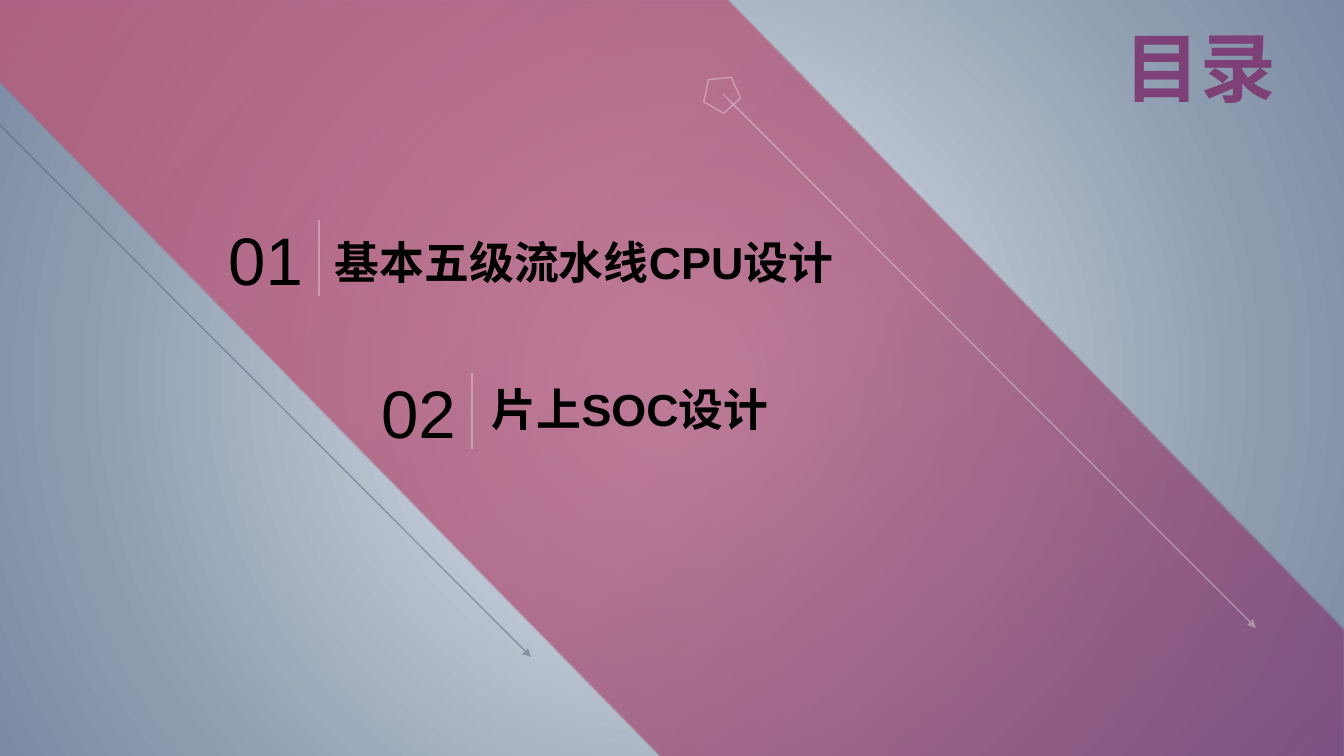
from lxml.etree import SubElement
from pptx import Presentation
from pptx.dml.color import RGBColor
from pptx.enum.shapes import MSO_CONNECTOR, MSO_SHAPE
from pptx.enum.text import MSO_ANCHOR, PP_ALIGN
from pptx.oxml import parse_xml
from pptx.oxml.ns import nsdecls, qn

# Content: stops are (position %, colour, opacity %), boxes are (left, top, width, height) in px
W, H = 1344, 756
BACKDROP = [(0, "E4E9EF", 100), (78, "8C9BAE", 100), (100, "7B8BA4", 100)]
BAND = [(0, "7D4178", 77), (45, "AB4A70", 68), (100, "C54F71", 68)]
BAND_POINTS = [(0, 0), (727, 0), (W, 630), (W, H), (660, H), (0, 83)]
TITLE = ("目录", (1072, 15, 256, 102))
ITEMS = [
    ("01", (190, 213, 151, 92), "基本五级流水线CPU设计", (325, 230, 564, 64)),
    ("02", (343, 366, 151, 92), "片上SOC设计", (482, 377, 564, 64)),
]
DIVIDER_DX, DIVIDER_DY, DIVIDER_H = 129, 7, 76
ARROWS = [((723, 94), (1256, 628), "FFFFFF", 32), ((0, 125), (531, 657), "536275", 50)]
PENTAGON = (704, 75, 37, 35)
TITLE_FONT = {"size": 54, "bold": True, "color": "7D4178"}
NUMBER_FONT = {"size": 48, "bold": False, "color": "000000"}
ITEM_FONT = {"size": 32, "bold": True, "color": "000000"}

PX = 914400 / 100.8


def emu(*lengths):
    return [round(v * PX) for v in lengths]


def rgb(value):
    return RGBColor.from_string(value)


def radial(stops, focus):
    """Circular gradient spreading from a focus given as edge insets in %."""
    gs = "".join(
        f'<a:gs pos="{pos * 1000}"><a:srgbClr val="{color}">'
        f'<a:alpha val="{alpha * 1000}"/></a:srgbClr></a:gs>'
        for pos, color, alpha in stops)
    inset = " ".join(f'{side}="{v * 1000}"' for side, v in zip("ltrb", focus))
    return parse_xml(
        f'<a:gradFill {nsdecls("a")} rotWithShape="1"><a:gsLst>{gs}</a:gsLst>'
        f'<a:path path="circle"><a:fillToRect {inset}/></a:path></a:gradFill>')


def set_gradient(fill, parent, gradient):
    fill.solid()
    fill.fore_color.rgb = rgb("FFFFFF")
    parent.replace(parent.find(qn("a:solidFill")), gradient)


def style_line(sp, color, alpha, arrow=False):
    sp.line.color.rgb = rgb(color)
    sp.line.width = 12700
    spPr = sp.element.spPr
    ln = spPr.find(qn("a:ln"))
    SubElement(ln.find(".//" + qn("a:srgbClr")), qn("a:alpha"), val=str(alpha * 1000))
    if arrow:
        SubElement(ln, qn("a:tailEnd"), type="triangle")


def add_line(s, start, end, color, alpha, arrow=False):
    line = s.shapes.add_connector(MSO_CONNECTOR.STRAIGHT, *emu(*start, *end))
    style_line(line, color, alpha, arrow)
    SubElement(line.element.spPr, qn("a:effectLst"))


def add_text(s, text, box, font, align):
    tf = s.shapes.add_textbox(*emu(*box)).text_frame
    tf.word_wrap = True
    tf.vertical_anchor = MSO_ANCHOR.MIDDLE
    p = tf.paragraphs[0]
    p.alignment = align
    r = p.add_run()
    r.text = text
    r.font.color.rgb = rgb(font["color"])
    for name, value in {"name": "Arial", "size": font["size"] * 12700,
                        "bold": font["bold"]}.items():
        setattr(r.font, name, value)


prs = Presentation()
prs.slide_width, prs.slide_height = emu(W, H)
s = prs.slides.add_slide(prs.slide_layouts[6])

# Backdrop
fill = s.background.fill
fill.solid()
set_gradient(fill, s.element.find(".//" + qn("p:bgPr")), radial(BACKDROP, (50, 50, 50, 50)))

# Diagonal band
builder = s.shapes.build_freeform(*BAND_POINTS[0], scale=PX)
builder.add_line_segments(BAND_POINTS[1:], close=True)
band = builder.convert_to_shape()
band.shadow.inherit = False
band.line.fill.background()
set_gradient(band.fill, band.element.spPr, radial(BAND, (100, 100, 0, 0)))

# Title
add_text(s, *TITLE, TITLE_FONT, PP_ALIGN.CENTER)

# Diagonal arrows and pentagon
for start, end, color, alpha in ARROWS:
    add_line(s, start, end, color, alpha, arrow=True)
pentagon = s.shapes.add_shape(MSO_SHAPE.REGULAR_PENTAGON, *emu(*PENTAGON))
pentagon.rotation = 30
pentagon.shadow.inherit = False
pentagon.fill.background()
style_line(pentagon, "FFFFFF", 32)

# Agenda items: number, divider, heading
for number, number_box, heading, heading_box in ITEMS:
    add_text(s, number, number_box, NUMBER_FONT, PP_ALIGN.CENTER)
    x, y = number_box[0] + DIVIDER_DX, number_box[1] + DIVIDER_DY
    add_line(s, (x, y), (x, y + DIVIDER_H), "FFFFFF", 49)
    add_text(s, heading, heading_box, ITEM_FONT, PP_ALIGN.LEFT)

prs.save("out.pptx")
